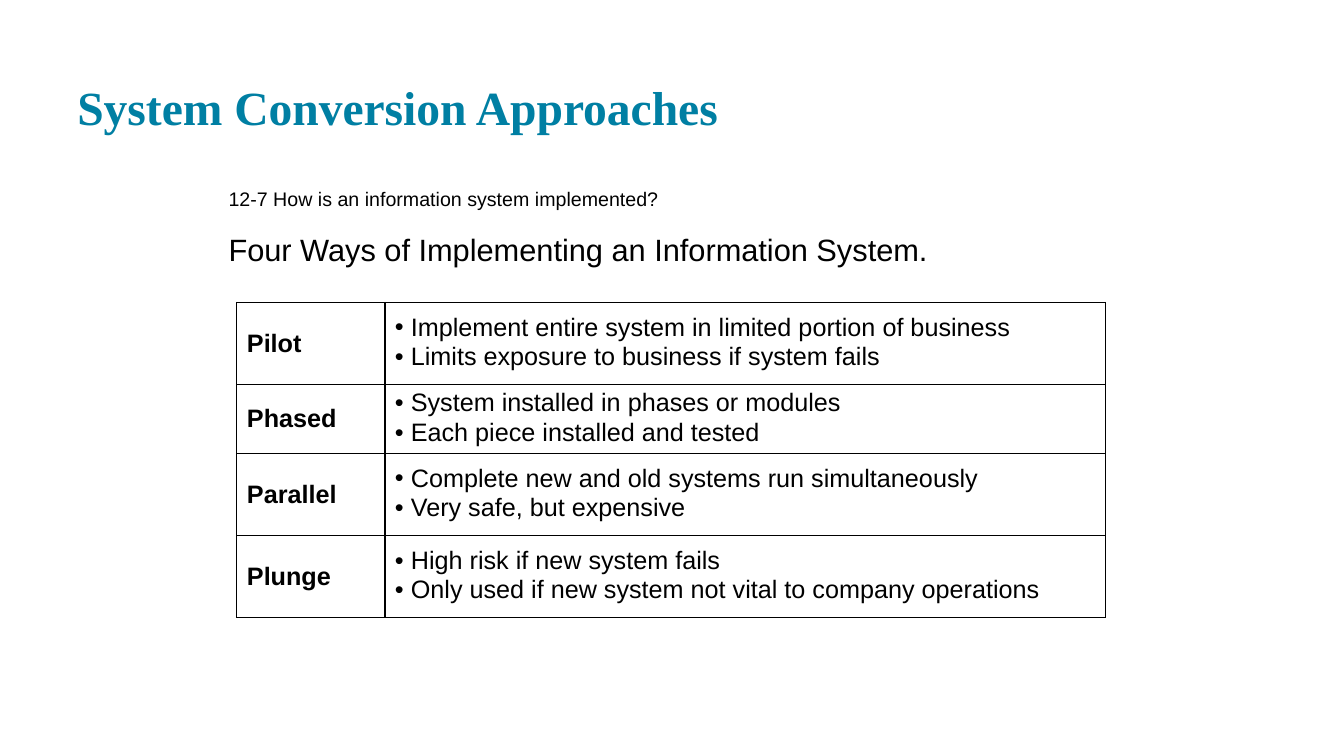
from dataclasses import dataclass

from lxml import etree
from pptx import Presentation
from pptx import util as u
from pptx.dml import color
from pptx.enum import text
from pptx.oxml import ns


@dataclass(frozen=True)
class Theme:
    heading_font: str = "Times New Roman"
    body_font: str = "Arial"
    heading: str = "007FA3"
    ink: str = "000000"
    paper: str = "FFFFFF"
    heading_size: int = 34
    lead_size: int = 22
    table_size: int = 18
    question_size: int = 14


@dataclass(frozen=True)
class Approach:
    name: str
    points: tuple[str, ...]
    height: float = 2.07


THEME = Theme()
COLUMN_WIDTHS = (3.73, 18.16)
APPROACHES = (
    Approach("Pilot", (
        "Implement entire system in limited portion of business",
        "Limits exposure to business if system fails",
    )),
    Approach("Phased", (
        "System installed in phases or modules",
        "Each piece installed and tested",
    ), height=1.73),
    Approach("Parallel", (
        "Complete new and old systems run simultaneously",
        "Very safe, but expensive",
    )),
    Approach("Plunge", (
        "High risk if new system fails",
        "Only used if new system not vital to company operations",
    )),
)


def add_paragraph(frame, words: str, *, size: int, font: str = THEME.body_font,
                  ink: str = THEME.ink, bold: bool = False, before: float = 0,
                  after: float = 0, line: float = 1.0, bullet: bool = False) -> None:
    para = frame.paragraphs[0]
    if para.runs:
        para = frame.add_paragraph()
    para.space_before = u.Pt(before)
    para.space_after = u.Pt(after)
    para.line_spacing = line
    if bullet:
        properties = para._p.get_or_add_pPr()
        hanging = u.Cm(0.4)
        properties.set("marL", str(hanging))
        properties.set("indent", str(-hanging))
        etree.SubElement(properties, ns.qn("a:buFont"), typeface=font)
        etree.SubElement(properties, ns.qn("a:buChar"), char="•")
    span = para.add_run()
    span.text = words
    span.font.name = font
    span.font.size = u.Pt(size)
    span.font.bold = bold
    span.font.color.rgb = color.RGBColor.from_string(ink)


def add_box(page, left: float, top: float, width: float, height: float,
            anchor: text.MSO_ANCHOR = text.MSO_ANCHOR.TOP):
    box = page.shapes.add_textbox(u.Cm(left), u.Cm(top), u.Cm(width), u.Cm(height))
    frame = box.text_frame
    frame.word_wrap = True
    frame.vertical_anchor = anchor
    frame.margin_left = frame.margin_right = u.Cm(0.25)
    frame.margin_top = frame.margin_bottom = u.Cm(0.25)
    return frame


def style_cell(cell) -> None:
    cell.vertical_anchor = text.MSO_ANCHOR.MIDDLE
    properties = cell._tc.get_or_add_tcPr()
    for side in ("lnL", "lnR", "lnT", "lnB"):
        border = etree.SubElement(properties, ns.qn(f"a:{side}"), w=str(u.Pt(1)))
        fill = etree.SubElement(border, ns.qn("a:solidFill"))
        etree.SubElement(fill, ns.qn("a:srgbClr"), val=THEME.ink)
    cell.fill.solid()
    cell.fill.fore_color.rgb = color.RGBColor.from_string(THEME.paper)


def add_approaches(page, left: float, top: float) -> None:
    height = sum(approach.height for approach in APPROACHES)
    table = page.shapes.add_table(
        len(APPROACHES), len(COLUMN_WIDTHS), u.Cm(left), u.Cm(top),
        u.Cm(sum(COLUMN_WIDTHS)), u.Cm(height)).table
    table.first_row = table.horz_banding = False
    for column, width in zip(table.columns, COLUMN_WIDTHS):
        column.width = u.Cm(width)
    for row, approach in zip(table.rows, APPROACHES):
        row.height = u.Cm(approach.height)
        name_cell, points_cell = row.cells
        style_cell(name_cell)
        style_cell(points_cell)
        add_paragraph(name_cell.text_frame, approach.name,
                      size=THEME.table_size, bold=True)
        for point in approach.points:
            add_paragraph(points_cell.text_frame, point, size=THEME.table_size,
                          after=3, line=0.9, bullet=True)


def main() -> None:
    deck = Presentation()
    deck.slide_width, deck.slide_height = u.Cm(33.87), u.Cm(19.05)
    page = deck.slides.add_slide(deck.slide_layouts[6])

    heading = add_box(page, 1.7, 0.61, 30.48, 3.05, text.MSO_ANCHOR.BOTTOM)
    add_paragraph(heading, "System Conversion Approaches", size=THEME.heading_size,
                  font=THEME.heading_font, ink=THEME.heading, bold=True)

    intro = add_box(page, 5.51, 4.45, 22.86, 2.49)
    add_paragraph(intro, "12-7 How is an information system implemented?",
                  size=THEME.question_size, before=15)
    add_paragraph(intro, "Four Ways of Implementing an Information System.",
                  size=THEME.lead_size, before=15)

    add_approaches(page, 5.97, 7.62)
    deck.save("out.pptx")


if __name__ == "__main__":
    main()
